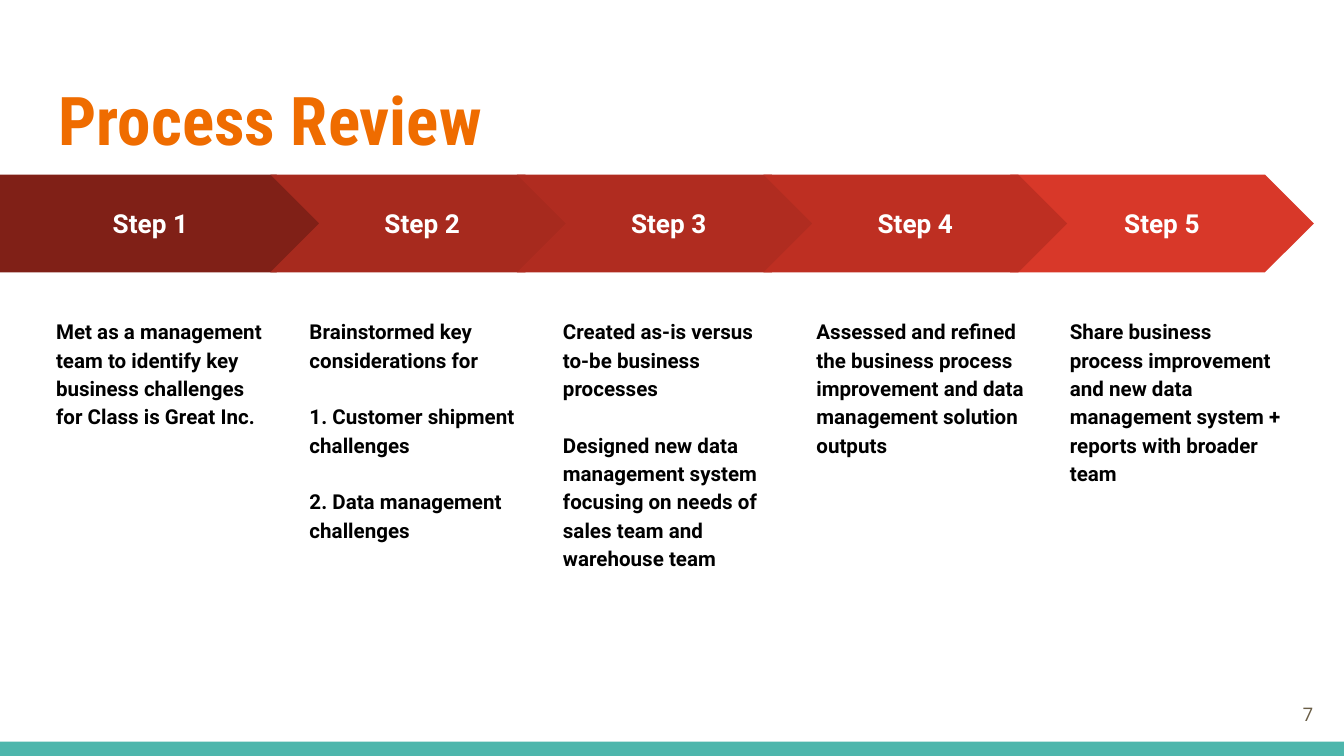
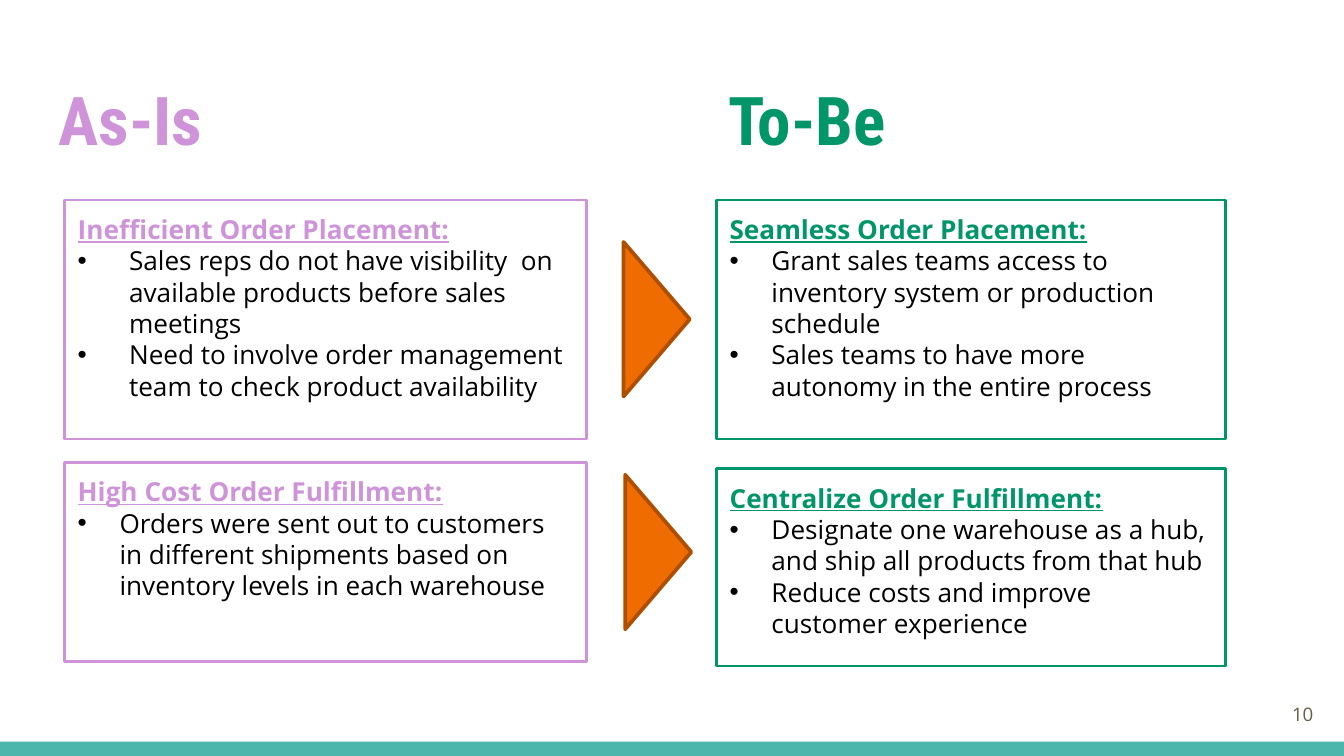
from dataclasses import dataclass
from typing import Optional

from lxml import etree
from pptx import Presentation
from pptx.dml.color import RGBColor
from pptx.enum.shapes import MSO_SHAPE as Shape
from pptx.enum.text import MSO_ANCHOR as Anchor, PP_ALIGN as Align
from pptx.oxml.ns import qn
from pptx.util import Cm, Pt

TITLE_FONT, BODY_FONT, STEP_FONT = "Roboto Condensed", "Open Sans", "Roboto"
ORANGE, DARK_ORANGE, TEAL = "EF6C00", "AE4E00", "4DB6AC"
LILAC, GREEN = "CE93D8", "009668"
BLACK, WHITE, GREY = "000000", "FFFFFF", "695D46"
SLIDE_W, SLIDE_H, INSET = 25.4, 14.29, 0.25

STEP_TOP, STEP_H = 3.3, 1.85
FIRST_W, CHEVRON_W = 6.15, 5.74
CHEVRON_LEFT, CHEVRON_PITCH = 5.11, 4.66
NOTE_LEFT, NOTE_PITCH = 0.81, 4.79


@dataclass
class Rect:
    """Left, top, width and height in centimetres."""
    left: float
    top: float
    width: float
    height: float

    def lengths(self):
        """Return the four values as lengths."""
        return [Cm(v) for v in (self.left, self.top, self.width, self.height)]


@dataclass
class Step:
    """One arrow of the process and the paragraphs below it."""
    number: int
    color: str
    notes: list[str]


@dataclass
class Panel:
    """An outlined box with a heading and bullets."""
    rect: Rect
    color: str
    heading: str
    bullets: list[str]
    indent: float = 0.79


# Step 5 comes before step 4, so that the tip of step 4 lies on top.
STEPS = [
    Step(1, "802017", ["Met as a management team to identify key business "
                       "challenges for Class is Great Inc."]),
    Step(2, "A72A1E", ["Brainstormed key considerations for",
                       "1. Customer shipment challenges",
                       "2. Data management challenges"]),
    Step(3, "B02C20", ["Created as-is versus to-be business processes",
                       "Designed new data management system focusing on "
                       "needs of sales team and warehouse team"]),
    Step(5, "D83829", ["Share business process improvement and new data "
                       "management system + reports with broader team"]),
    Step(4, "BE2F22", ["Assessed and refined the business process improvement "
                       "and data management solution outputs"]),
]

PANELS = [
    Panel(Rect(1.22, 3.78, 9.86, 4.52), LILAC, "Inefficient Order Placement:",
          ["Sales reps do not have visibility  on available products before "
           "sales meetings",
           "Need to involve order management team to check product "
           "availability"], 0.97),
    Panel(Rect(1.22, 8.74, 9.86, 3.76), LILAC, "High Cost Order Fulfillment:",
          ["Orders were sent out to customers in different shipments based on "
           "inventory levels in each warehouse"]),
    Panel(Rect(13.54, 3.78, 9.63, 4.52), GREEN, "Seamless Order Placement:",
          ["Grant sales teams access to inventory system or production "
           "schedule",
           "Sales teams to have more autonomy in the entire process"]),
    Panel(Rect(13.54, 8.86, 9.63, 3.73), GREEN, "Centralize Order Fulfillment:",
          ["Designate one warehouse as a hub, and ship all products from that "
           "hub",
           "Reduce costs and improve customer experience"]),
]


def rgb(color: str) -> RGBColor:
    """Turn a hex string into a colour."""
    return RGBColor.from_string(color)


def add_run(p, text: str, size: float, font: str, color: str,
            bold: bool = False, underline: bool = False) -> None:
    """Append a formatted run to a paragraph."""
    r = p.add_run()
    r.text = text
    r.font.size, r.font.name = Pt(size), font
    r.font.bold, r.font.underline = bold, underline
    r.font.color.rgb = rgb(color)


def setup_frame(sp, anchor=Anchor.TOP):
    """Set wrapping, anchor and insets, and return the text frame."""
    tf = sp.text_frame
    tf.word_wrap, tf.vertical_anchor = True, anchor
    tf.margin_left = tf.margin_right = Cm(INSET)
    tf.margin_top = tf.margin_bottom = Cm(INSET)
    return tf


def add_box(s, rect: Rect, anchor=Anchor.TOP):
    """Add a text box and return its text frame."""
    return setup_frame(s.shapes.add_textbox(*rect.lengths()), anchor)


def add_shape(s, kind, rect: Rect, fill: Optional[str] = None,
              line: Optional[str] = None, width: float = 1.5):
    """Add a preset shape without shadow."""
    sp = s.shapes.add_shape(kind, *rect.lengths())
    sp.shadow.inherit = False
    if fill:
        sp.fill.solid()
        sp.fill.fore_color.rgb = rgb(fill)
    else:
        sp.fill.background()
    if line:
        sp.line.color.rgb = rgb(line)
        sp.line.width = Pt(width)
    else:
        sp.line.fill.background()
    return sp


def set_bullet(p, indent: float) -> None:
    """Give a paragraph a black bullet with a hanging indent."""
    pPr = p._p.get_or_add_pPr()
    pPr.set("marL", str(Cm(indent)))
    pPr.set("indent", str(-Cm(indent)))
    clr = etree.SubElement(pPr, qn("a:buClr"))
    etree.SubElement(clr, qn("a:srgbClr"), val=BLACK)
    etree.SubElement(pPr, qn("a:buFont"), typeface="Arial")
    etree.SubElement(pPr, qn("a:buChar"), char="•")


def add_title(s, text: str, color: str, left: float, width: float) -> None:
    """Add a slide title."""
    tf = add_box(s, Rect(left, 1.24, width, 1.96))
    add_run(tf.paragraphs[0], text, 36, TITLE_FONT, color, bold=True)


def new_slide(prs, number: int):
    """Add a blank slide with the bottom band and its number."""
    s = prs.slides.add_slide(prs.slide_layouts[6])
    add_shape(s, Shape.RECTANGLE, Rect(0, 14.02, SLIDE_W, 0.27), TEAL)
    tf = add_box(s, Rect(23.55, 12.95, 1.52, 1.09), Anchor.MIDDLE)
    p = tf.paragraphs[0]
    p.alignment = Align.RIGHT
    add_run(p, str(number), 10, BODY_FONT, GREY)
    return s


def add_step(s, step: Step) -> None:
    """Draw a step arrow and the notes under it."""
    i = step.number - 1
    if i == 0:
        kind, left, width = Shape.PENTAGON, 0, FIRST_W
    else:
        kind, width = Shape.CHEVRON, CHEVRON_W
        left = CHEVRON_LEFT + CHEVRON_PITCH * (i - 1)
    sp = add_shape(s, kind, Rect(left, STEP_TOP, width, STEP_H), step.color)
    p = setup_frame(sp, Anchor.MIDDLE).paragraphs[0]
    p.alignment = Align.CENTER
    add_run(p, f"Step {step.number}", 14, STEP_FONT, WHITE, bold=True)

    tf = add_box(s, Rect(NOTE_LEFT + NOTE_PITCH * i, 5.72, 4.52, 6.53))
    for n, note in enumerate(step.notes):
        p = tf.add_paragraph() if n else tf.paragraphs[0]
        p.line_spacing = 1.15
        p.space_before = Pt(15.2 if n else 0)
        add_run(p, note, 11, STEP_FONT, BLACK, bold=True)


def add_panel(s, panel: Panel) -> None:
    """Draw an outlined box with its heading and bullets."""
    sp = add_shape(s, Shape.RECTANGLE, panel.rect, line=panel.color)
    tf = setup_frame(sp)
    p = tf.paragraphs[0]
    p.alignment = Align.LEFT
    add_run(p, panel.heading, 14, BODY_FONT, panel.color, True, True)
    for text in panel.bullets:
        p = tf.add_paragraph()
        p.alignment = Align.LEFT
        set_bullet(p, panel.indent)
        add_run(p, text, 14, BODY_FONT, BLACK)


def build_process(prs) -> None:
    """Build the slide with the five steps."""
    s = new_slide(prs, 7)
    add_title(s, "Process Review", ORANGE, 0.86, 23.67)
    for step in STEPS:
        add_step(s, step)


def build_comparison(prs) -> None:
    """Build the slide that sets as-is against to-be."""
    s = new_slide(prs, 10)
    add_title(s, "As-Is", LILAC, 0.86, 11.84)
    add_title(s, "To-Be", GREEN, 13.51, 9.19)
    for panel in PANELS:
        add_panel(s, panel)
    for left, top in ((10.95, 5.41), (10.98, 9.81)):
        sp = add_shape(s, Shape.ISOSCELES_TRIANGLE,
                       Rect(left, top, 2.92, 1.25), ORANGE, DARK_ORANGE, 2)
        sp.rotation = 90


def main() -> None:
    """Build and save the presentation."""
    prs = Presentation()
    prs.slide_width, prs.slide_height = Cm(SLIDE_W), Cm(SLIDE_H)
    build_process(prs)
    build_comparison(prs)
    prs.save("out.pptx")


main()
